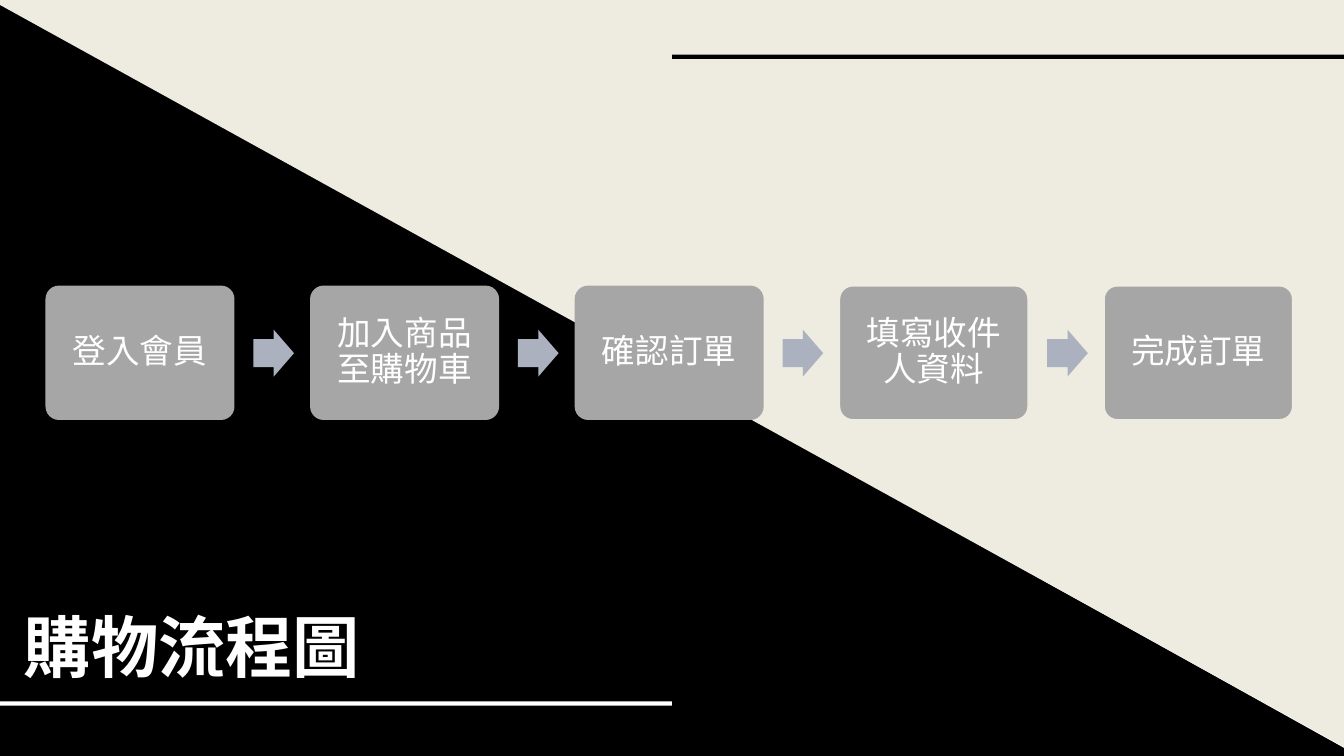
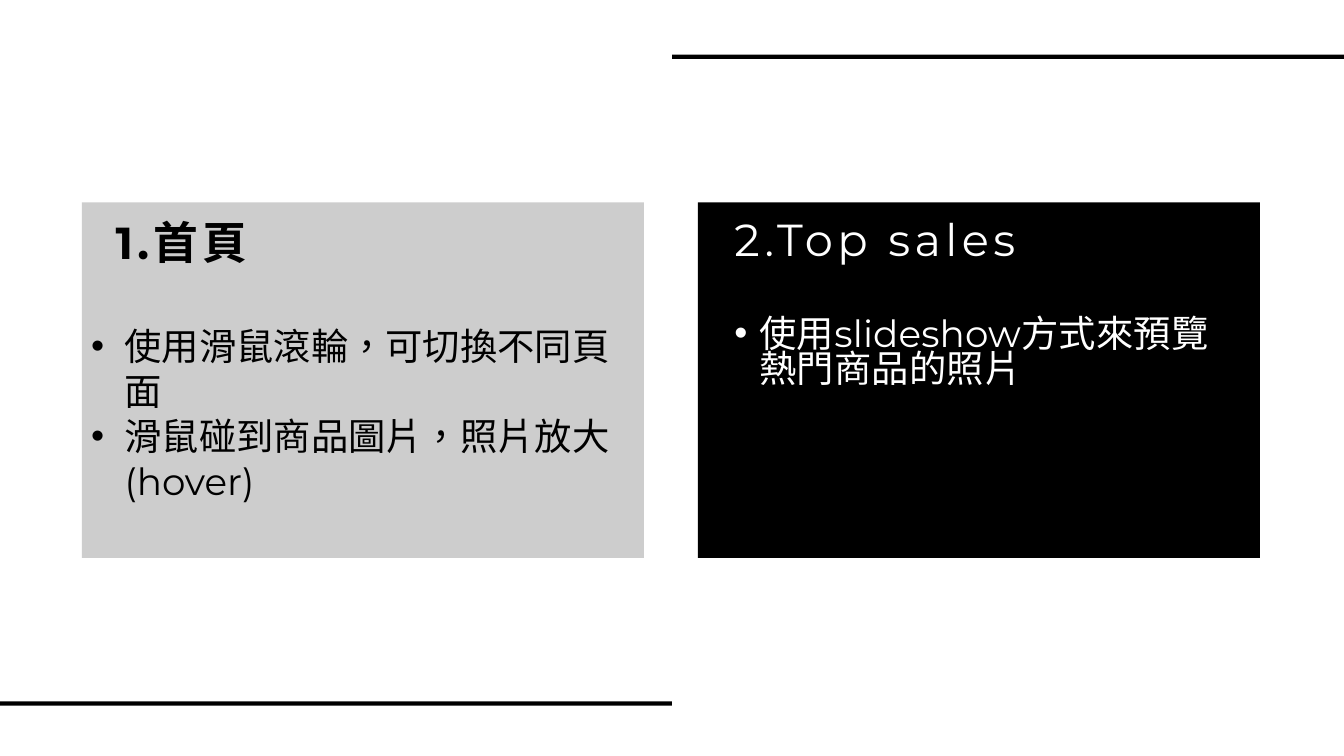
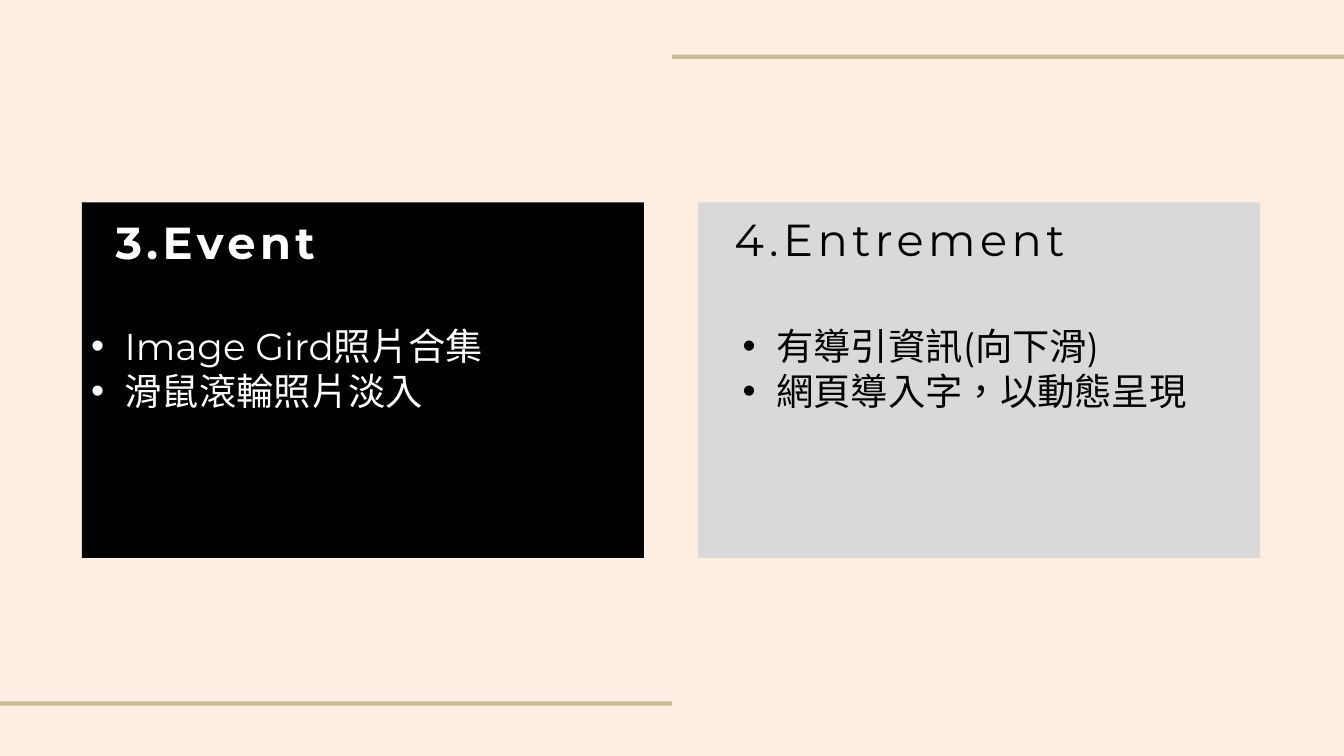
from lxml.etree import SubElement
from pptx import Presentation
from pptx.dml.color import RGBColor
from pptx.enum.shapes import MSO_SHAPE as SHAPE
from pptx.enum.text import MSO_ANCHOR as ANCHOR, MSO_AUTO_SIZE as AUTOSIZE, PP_ALIGN as ALIGN
from pptx.oxml.ns import qn
from pptx.util import Pt

PX = 9525  # EMU in one px; the slide is 1920 x 1080 px
WIDTH, HEIGHT = 1920, 1080
TITLE_ONLY, COMPARISON = 5, 4  # template layouts

BLACK, WHITE = "000000", "FFFFFF"
CREAM, PEACH, SAND = "EEECE1", "FEEEE1", "C4BD97"
STEP_GREY, ARROW_GREY, CARD_GREY, PALE_GREY = "A6A6A6", "ACB1BF", "CDCDCD", "D9D9D9"
LATIN, HAN = "Montserrat", "Noto Sans CJK SC"


def color(hex_text):
    return RGBColor.from_string(hex_text)


def write(tf, lines, *, size, fill, bold=False, font=LATIN, ea=None, align=ALIGN.LEFT,
          anchor=ANCHOR.TOP, margin=0, leading=1.0, tracking=0, bullet=0):
    """Fill a text frame; bullet is the hanging indent in px, 0 for none."""
    tf.word_wrap = True
    tf.auto_size = AUTOSIZE.NONE
    tf.vertical_anchor = anchor
    tf.margin_left = tf.margin_right = tf.margin_top = tf.margin_bottom = margin * PX
    for i, line in enumerate(lines):
        p = tf.paragraphs[0] if i == 0 else tf.add_paragraph()
        if bullet:
            pPr = p._p.get_or_add_pPr()
            pPr.set("marL", str(bullet * PX))
            pPr.set("indent", str(-bullet * PX))
            SubElement(pPr, qn("a:buFont")).set("typeface", "Arial")
            SubElement(pPr, qn("a:buChar")).set("char", "•")
        p.alignment = align
        p.line_spacing = leading
        p.space_before = p.space_after = Pt(0)
        r = p.add_run()
        r.text = line
        r.font.size, r.font.bold, r.font.name = Pt(size), bold, font
        r.font.color.rgb = color(fill)
        rPr = r._r.get_or_add_rPr()
        rPr.set("lang", "zh-TW")
        rPr.set("spc", str(round(tracking * 100)))
        SubElement(rPr, qn("a:ea")).set("typeface", ea or font)


class Deck:
    """Holds the shared style and the slide being built."""

    def __init__(self):
        self.prs = Presentation()
        self.prs.slide_width, self.prs.slide_height = WIDTH * PX, HEIGHT * PX
        self.slide = None

    def new_slide(self, layout, background):
        self.slide = self.prs.slides.add_slide(self.prs.slide_layouts[layout])
        fill = self.slide.background.fill
        fill.solid()
        fill.fore_color.rgb = color(background)

    def shape(self, kind, x, y, w, h, fill, line=None, rotation=0):
        sp = self.slide.shapes.add_shape(kind, x * PX, y * PX, w * PX, h * PX)
        sp.shadow.inherit = False
        sp.rotation = rotation
        sp.fill.solid()
        sp.fill.fore_color.rgb = color(fill)
        if line:
            sp.line.color.rgb = color(line)
            sp.line.width = Pt(2)
        else:
            sp.line.fill.background()
        return sp

    def bottom_bar(self, fill):
        self.shape(SHAPE.RECTANGLE, -744, 1002, 1704, 6, fill)

    def top_bar(self, fill):
        self.shape(SHAPE.RECTANGLE, 960, 78, 1704, 6, fill)

    def placeholder(self, idx, x, y, w, h, lines, **fmt):
        sp = next(s for s in self.slide.placeholders if s.placeholder_format.idx == idx)
        sp.left, sp.top, sp.width, sp.height = (v * PX for v in (x, y, w, h))
        self.slide.shapes._spTree.append(sp._element)  # bring to front
        write(sp.text_frame, lines, **fmt)

    def step(self, x, label, line):
        sp = self.shape(SHAPE.ROUNDED_RECTANGLE, x, 408, 270, 192, STEP_GREY, line)
        sp.adjustments[0] = 0.1
        write(sp.text_frame, [label], size=36, fill=WHITE, font=HAN, align=ALIGN.CENTER,
              anchor=ANCHOR.MIDDLE, margin=20, leading=0.9)

    def arrow(self, x):
        sp = self.shape(SHAPE.RIGHT_ARROW, x, 471, 58, 67, ARROW_GREY)
        sp.adjustments[0], sp.adjustments[1] = 0.6, 0.5

    def card(self, x, fill):
        self.shape(SHAPE.RECTANGLE, x, 289, 803, 508, fill)

    def heading(self, idx, x, y, text, fill, bold=False):
        self.placeholder(idx, x, y, 640, 60, [text], size=48, fill=fill, bold=bold,
                         leading=Pt(44.8), tracking=4.8)

    def bullets(self, idx, x, lines, fill, y=462, w=783, indent=48, **fmt):
        self.placeholder(idx, x, y, w, 268, lines, size=40, fill=fill, bullet=indent, **fmt)

    def card_slide(self, background, bar, left, right):
        """Two cards side by side; left and right are (card fill, text fill, heading)."""
        self.new_slide(COMPARISON, background)
        title = self.slide.shapes.title._element
        title.getparent().remove(title)
        self.bottom_bar(bar)
        self.top_bar(bar)
        self.card(117, left[0])
        self.card(997, right[0])
        self.heading(1, 165, 324, left[2], left[1], bold=True)
        self.heading(3, 1049, 320, right[2], right[1])


def main():
    deck = Deck()

    # Slide 1: shopping flow over a diagonal split
    deck.new_slide(TITLE_ONLY, BLACK)
    deck.shape(SHAPE.RECTANGLE, -181, -537, 2556, 1070, WHITE, rotation=29.1)
    deck.shape(SHAPE.RECTANGLE, -167, -696, 2587, 1237, CREAM, rotation=28.9)
    deck.bottom_bar(WHITE)
    deck.top_bar(BLACK)
    deck.placeholder(0, 34, 865, 557, 116, ["購物流程圖"], size=72, fill=WHITE, bold=True)
    steps = ["登入會員", "加入商品至購物車", "確認訂單", "填寫收件人資料", "完成訂單"]
    for i, label in enumerate(steps):
        x = 65 + 378 * i
        deck.step(x, label, CREAM if i > 2 else None)
        if i < len(steps) - 1:
            deck.arrow(x + 297)

    # Slide 2: home page and top sales
    deck.card_slide(WHITE, BLACK, (CARD_GREY, BLACK, "1.首頁"), (BLACK, WHITE, "2.Top sales"))
    deck.bullets(2, 130, ["使用滑鼠滾輪，可切換不同頁面", "滑鼠碰到商品圖片，照片放大(hover)"], BLACK)
    deck.bullets(4, 1049, ["使用slideshow方式來預覽熱門商品的照片"], WHITE, y=457, w=697,
                 indent=36, ea=HAN, leading=Pt(37.5), tracking=0.2)

    # Slide 3: event and entrement
    deck.card_slide(PEACH, SAND, (BLACK, WHITE, "3.Event"), (PALE_GREY, BLACK, "4.Entrement"))
    deck.bullets(2, 130, ["Image Gird照片合集", "滑鼠滾輪照片淡入"], WHITE)
    deck.bullets(4, 1061, ["有導引資訊(向下滑)", "網頁導入字，以動態呈現"], BLACK)

    deck.prs.save("out.pptx")


if __name__ == "__main__":
    main()
